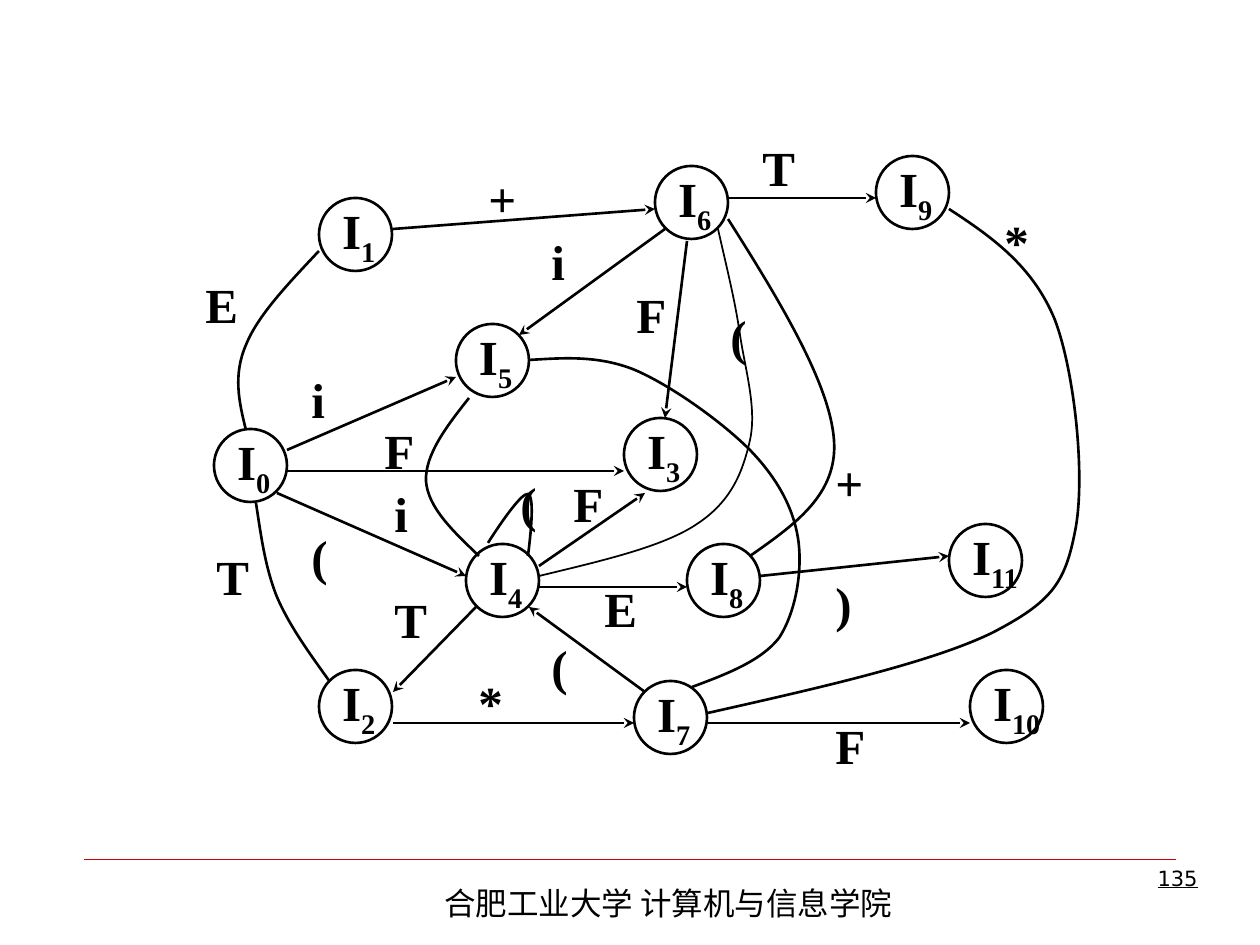
"""Draw the goto graph of an LR item-set automaton on one slide."""
from typing import NamedTuple

from pptx import Presentation
from pptx.dml.color import RGBColor
from pptx.enum.shapes import MSO_CONNECTOR, MSO_SHAPE
from pptx.enum.text import MSO_ANCHOR, PP_ALIGN
from pptx.oxml import parse_xml
from pptx.oxml.ns import nsdecls, qn
from pptx.oxml.xmlchemy import OxmlElement
from pptx.util import Emu, Pt

PX = 914400 / 126
SIDE = 73
HUES = {"ink": "000000", "rule": "CC0000"}


class Node(NamedTuple):
    num: int
    x: int
    y: int


class Edge(NamedTuple):
    x1: int
    y1: int
    x2: int
    y2: int


class Curve(NamedTuple):
    dots: list[tuple[int, int]]
    width: float = 1.5


class Label(NamedTuple):
    text: str
    x: int
    y: int
    high: int = 63


NODES = [
    Node(0, 214, 429), Node(1, 319, 198), Node(2, 319, 670), Node(3, 624, 418),
    Node(4, 466, 544), Node(5, 456, 324), Node(6, 655, 166), Node(7, 634, 681),
    Node(8, 687, 544), Node(9, 876, 156), Node(10, 970, 670), Node(11, 949, 524),
]

EDGES = [
    Edge(287, 450, 456, 377), Edge(287, 471, 624, 471), Edge(277, 493, 466, 576),
    Edge(476, 607, 393, 692), Edge(645, 692, 529, 607), Edge(393, 723, 634, 723),
    Edge(708, 723, 970, 723), Edge(393, 229, 655, 209), Edge(728, 198, 876, 198),
    Edge(539, 566, 645, 493), Edge(539, 587, 687, 587), Edge(665, 229, 519, 335),
    Edge(687, 241, 665, 418), Edge(760, 576, 949, 556),
]

CURVES = [
    Curve([(246, 430), (239, 402), (233, 375), (246, 345),
           (258, 315), (289, 283), (319, 251)]),
    Curve([(256, 503), (261, 535), (265, 567), (277, 597),
           (290, 627), (310, 654), (330, 682)]),
    Curve([(479, 556), (454, 532), (428, 508), (426, 481),
           (425, 455), (446, 427), (469, 398)]),
    Curve([(528, 556), (532, 525), (534, 496), (528, 494),
           (522, 493), (504, 518), (488, 543)]),
    Curve([(692, 687), (727, 674), (761, 661), (779, 638),
           (796, 612), (803, 570), (798, 538), (793, 507), (777, 478), (750, 450),
           (722, 422), (672, 386), (635, 370), (598, 355), (563, 358), (529, 360)]),
    Curve([(750, 556), (794, 525), (838, 495), (834, 440),
           (830, 384), (780, 301), (728, 219)]),
    Curve([(949, 209), (992, 237), (1033, 266), (1055, 320),
           (1075, 373), (1086, 479), (1075, 532), (1065, 583), (1052, 602), (992, 633),
           (930, 663), (819, 688), (708, 713)]),
    Curve([(718, 229), (726, 265), (735, 300), (740, 335),
           (745, 369), (757, 408), (750, 440), (743, 471), (732, 501), (697, 524),
           (663, 547), (601, 561), (539, 576)], 1),
]

LABELS = [
    Label("E", 193, 272), Label("+", 476, 166), Label("T", 750, 135),
    Label("*", 992, 209), Label("T", 204, 544), Label("T", 382, 587),
    Label("i", 299, 367), Label("F", 372, 418), Label("(", 299, 524),
    Label("i", 382, 481), Label("(", 508, 471), Label("F", 561, 471),
    Label("E", 592, 576), Label("(", 718, 304), Label("F", 624, 282),
    Label("i", 539, 229), Label("+", 823, 450), Label("F", 823, 713),
    Label("*", 466, 681, 42), Label("(", 539, 639, 53), Label(")", 823, 576, 53),
]


def px(*nums: int) -> list[Emu]:
    """Turn pixel lengths into EMU."""
    return [Emu(round(num * PX)) for num in nums]


def hue(name: str) -> RGBColor:
    """Look up a colour by name."""
    return RGBColor.from_string(HUES[name])


def write(shape, text: str, *, sub: str = "", size: int = 28,
          face: str = "Times New Roman", bold: bool = True, under: bool = False,
          wrap: bool = False, align=PP_ALIGN.LEFT, anchor=MSO_ANCHOR.MIDDLE) -> None:
    """Write formatted text, with an optional subscript, into a shape."""
    frame = shape.text_frame
    frame.word_wrap = wrap
    frame.vertical_anchor = anchor
    para = frame.paragraphs[0]
    para.alignment = align
    for part in filter(None, (text, sub)):
        run = para.add_run()
        run.text = part
        font = run.font
        font.size, font.name, font.bold = Pt(size), face, bold
        if under:
            font.underline = True
        font.color.rgb = hue("ink")
        props = run._r.get_or_add_rPr()
        props.append(parse_xml(f'<a:ea {nsdecls("a")} typeface="{face}"/>'))
        if part is sub:
            props.set("baseline", "-25000")


def trim(shape, width: float) -> None:
    """Give a shape a plain outline with no fill or shadow."""
    shape.shadow.inherit = False
    shape.fill.background()
    shape.line.color.rgb = hue("ink")
    shape.line.width = Pt(width)


def draw_node(slide, node: Node) -> None:
    """Draw one state circle."""
    ring = slide.shapes.add_shape(MSO_SHAPE.OVAL, *px(node.x, node.y, SIDE, SIDE))
    trim(ring, 1.5)
    write(ring, "I", sub=str(node.num))


def draw_line(slide, edge: Edge, tint: str = "ink", width: float = 1.5,
              head: bool = True) -> None:
    """Draw a straight line, with or without an arrowhead."""
    line = slide.shapes.add_connector(MSO_CONNECTOR.STRAIGHT, *px(*edge))
    line.line.color.rgb = hue(tint)
    line.line.width = Pt(width)
    props = line._element.spPr
    if head:
        tail = OxmlElement("a:tailEnd")
        tail.set("type", "stealth")
        props.find(qn("a:ln")).append(tail)
    props.append(OxmlElement("a:effectLst"))


def draw_curve(slide, curve: Curve) -> None:
    """Draw a chain of cubic Bézier spans."""
    start, *rest = curve.dots
    pen = slide.shapes.build_freeform(*start, scale=PX)
    pen.add_line_segments(rest, close=False)
    shape = pen.convert_to_shape()
    trim(shape, curve.width)
    legs = list(shape._element.iter(qn("a:lnTo")))
    for at in range(0, len(legs), 3):
        span = OxmlElement("a:cubicBezTo")
        legs[at].addprevious(span)
        for leg in legs[at:at + 3]:
            span.append(leg[0])
            leg.getparent().remove(leg)


def draw_label(slide, label: Label) -> None:
    """Draw the symbol beside an edge."""
    box = slide.shapes.add_textbox(*px(label.x, label.y, SIDE, label.high))
    write(box, label.text)


def main() -> None:
    """Build and save the slide."""
    deck = Presentation()
    deck.slide_width, deck.slide_height = px(1260, 945)
    slide = deck.slides.add_slide(deck.slide_layouts[6])
    draw_line(slide, Edge(84, 859, 1176, 859), "rule", 0.25, False)
    foot = slide.shapes.add_textbox(*px(432, 878, 605, 50))
    write(foot, "合肥工业大学 计算机与信息学院", size=18, face="Noto Sans CJK SC",
          bold=False, wrap=True, anchor=MSO_ANCHOR.TOP)
    for draw, items in ((draw_node, NODES), (draw_line, EDGES),
                        (draw_curve, CURVES), (draw_label, LABELS)):
        for item in items:
            draw(slide, item)
    page = slide.shapes.add_textbox(*px(937, 859, 273, 66))
    write(page, "135", size=12, face="DejaVu Sans", bold=False, under=True,
          wrap=True, align=PP_ALIGN.RIGHT, anchor=MSO_ANCHOR.TOP)
    deck.save("out.pptx")


if __name__ == "__main__":
    main()
